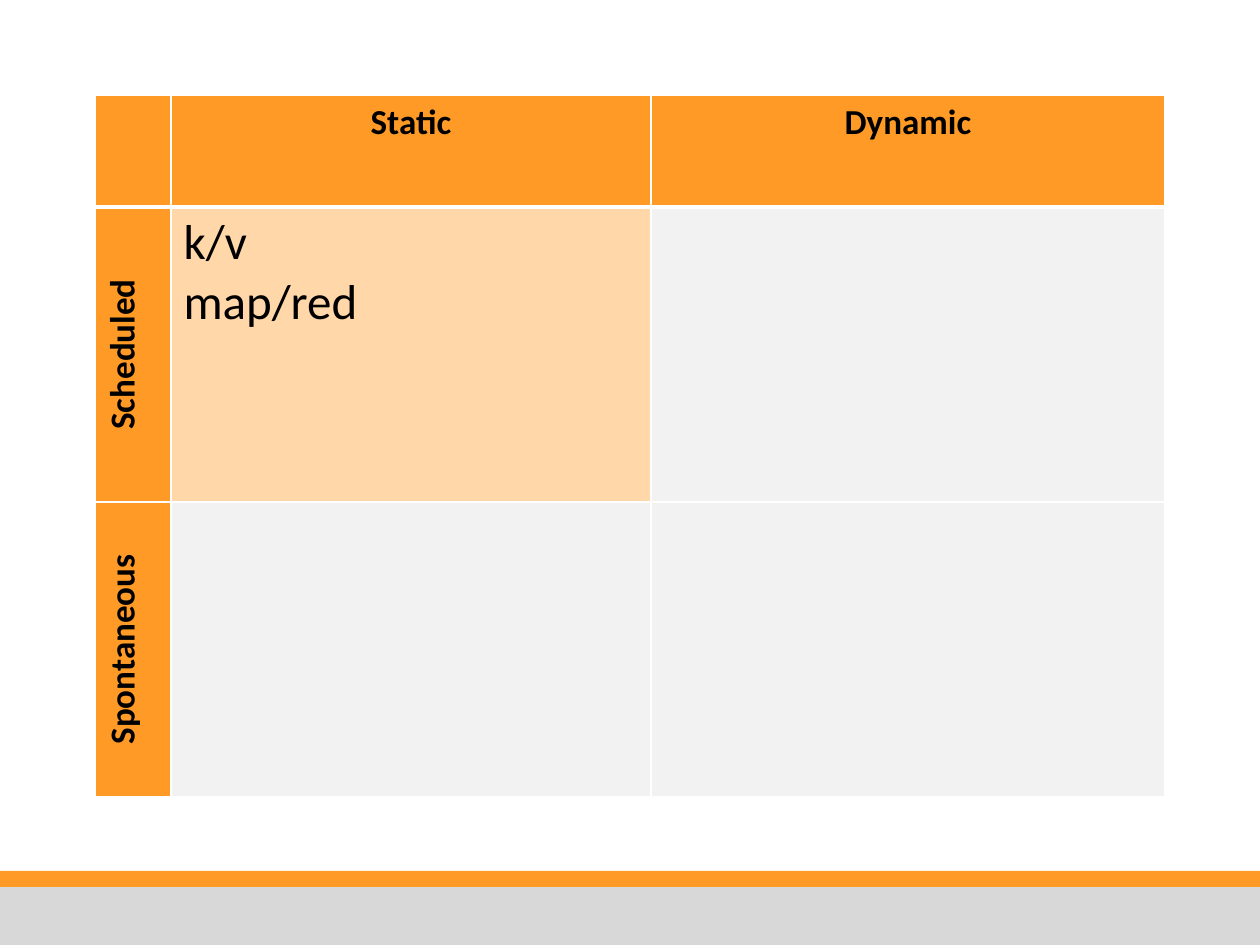
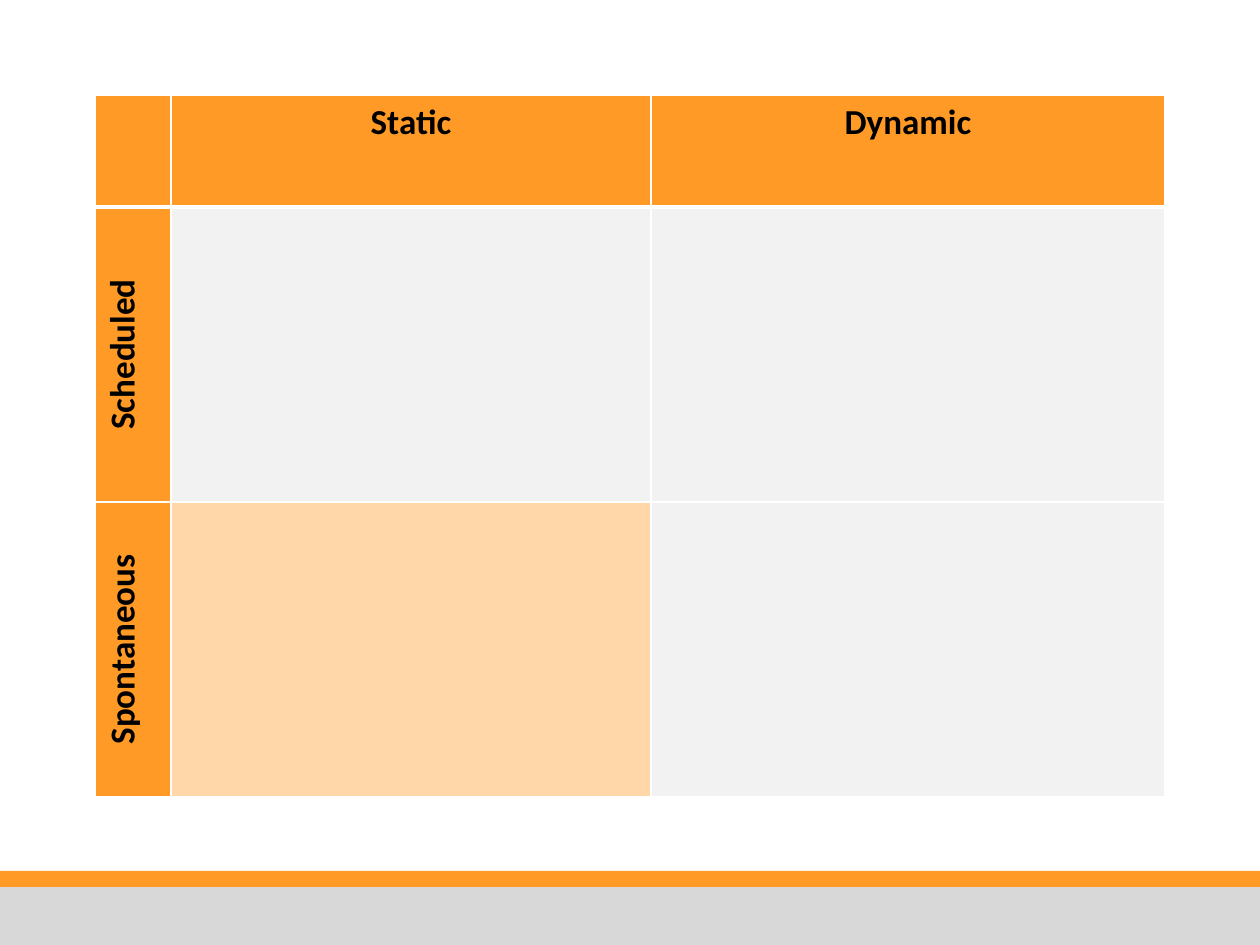
from dataclasses import dataclass

import pptx
import pptx.dml.color
import pptx.enum.shapes
import pptx.enum.text
import pptx.oxml
import pptx.oxml.ns
import pptx.util

PIXELS_PER_INCH = 126
PAGE_WIDTH, PAGE_HEIGHT = 1260, 945
BLANK_LAYOUT = 6


@dataclass(frozen=True)
class Theme:
    font: str = "Calibri"
    orange: str = "FE9A25"
    highlight: str = "FFD7A8"
    pale: str = "F2F2F2"
    grey: str = "D8D8D8"
    white: str = "FFFFFF"
    black: str = "000000"
    label_size: int = 20
    body_size: int = 28
    rule: int = 1
    header_rule: int = 3


@dataclass(frozen=True)
class Band:
    top: int
    height: int
    color: str


@dataclass(frozen=True)
class Matrix:
    """One state of the two-by-two grid; highlighted is (row, column)."""
    highlighted: tuple[int, int]
    lines: tuple[str, ...] = ()


THEME = Theme()
BANDS = (Band(871, 21, THEME.orange), Band(887, 58, THEME.grey))
MATRICES = (
    Matrix((1, 1), ("k/v", "map/red")),
    Matrix((2, 1)),
)
TABLE_LEFT, TABLE_TOP = 95, 95
COLUMN_WIDTHS = (76, 480, 514)
ROW_HEIGHTS = (112, 295, 295)
COLUMN_LABELS = ("", "Static", "Dynamic")
ROW_LABELS = ("", "Scheduled", "Spontaneous")


def px(length: int) -> int:
    return round(length * pptx.util.Inches(1) / PIXELS_PER_INCH)


def rgb(color: str) -> pptx.dml.color.RGBColor:
    return pptx.dml.color.RGBColor.from_string(color)


def draw_band(page, band: Band) -> None:
    box = page.shapes.add_shape(
        pptx.enum.shapes.MSO_SHAPE.RECTANGLE,
        0, px(band.top), px(PAGE_WIDTH), px(band.height))
    box.shadow.inherit = False
    box.fill.solid()
    box.fill.fore_color.rgb = rgb(band.color)
    box.line.fill.background()


def set_borders(cell, row: int) -> None:
    """Rule every side thinly, but thickly between header and body."""
    properties = cell._tc.get_or_add_tcPr()
    widths = {
        "L": THEME.rule,
        "R": THEME.rule,
        "T": THEME.header_rule if row == 1 else THEME.rule,
        "B": THEME.header_rule if row == 0 else THEME.rule,
    }
    for side, width in widths.items():
        properties.append(pptx.oxml.parse_xml(
            f'<a:ln{side} {pptx.oxml.ns.nsdecls("a")} w="{pptx.util.Pt(width)}">'
            f'<a:solidFill><a:srgbClr val="{THEME.white}"/></a:solidFill>'
            f'</a:ln{side}>'))


def write_lines(cell, lines: tuple[str, ...], label: bool) -> None:
    frame = cell.text_frame
    frame.text = "\n".join(lines)
    align = pptx.enum.text.PP_ALIGN
    font_format = {
        "name": THEME.font,
        "size": pptx.util.Pt(THEME.label_size if label else THEME.body_size),
        "bold": label,
    }
    for para in frame.paragraphs:
        para.alignment = align.CENTER if label else align.LEFT
        for span in para.runs:
            for name, value in font_format.items():
                setattr(span.font, name, value)
            span.font.color.rgb = rgb(THEME.black)


def draw_cell(cell, row: int, column: int, matrix: Matrix) -> None:
    label = row == 0 or column == 0
    highlighted = (row, column) == matrix.highlighted
    if label:
        text = COLUMN_LABELS[column] if row == 0 else ROW_LABELS[row]
        lines, color = (text,), THEME.orange
    elif highlighted:
        lines, color = matrix.lines, THEME.highlight
    else:
        lines, color = (), THEME.pale
    set_borders(cell, row)
    cell.fill.solid()
    cell.fill.fore_color.rgb = rgb(color)
    if any(lines):
        write_lines(cell, lines, label)
    if column == 0 and row > 0:
        cell._tc.get_or_add_tcPr().set("vert", "vert270")


def draw_matrix(page, matrix: Matrix) -> None:
    table = page.shapes.add_table(
        len(ROW_HEIGHTS), len(COLUMN_WIDTHS), px(TABLE_LEFT), px(TABLE_TOP),
        px(sum(COLUMN_WIDTHS)), px(sum(ROW_HEIGHTS))).table
    table.first_col = True
    table.horz_banding = False
    for column, width in zip(table.columns, COLUMN_WIDTHS):
        column.width = px(width)
    for row, height in zip(table.rows, ROW_HEIGHTS):
        row.height = px(height)
    for row in range(len(ROW_HEIGHTS)):
        for column in range(len(COLUMN_WIDTHS)):
            draw_cell(table.cell(row, column), row, column, matrix)


def main() -> None:
    deck = pptx.Presentation()
    deck.slide_width, deck.slide_height = px(PAGE_WIDTH), px(PAGE_HEIGHT)
    for matrix in MATRICES:
        page = deck.slides.add_slide(deck.slide_layouts[BLANK_LAYOUT])
        page.background.fill.solid()
        page.background.fill.fore_color.rgb = rgb(THEME.white)
        for band in BANDS:
            draw_band(page, band)
        draw_matrix(page, matrix)
    deck.save("out.pptx")


if __name__ == "__main__":
    main()
